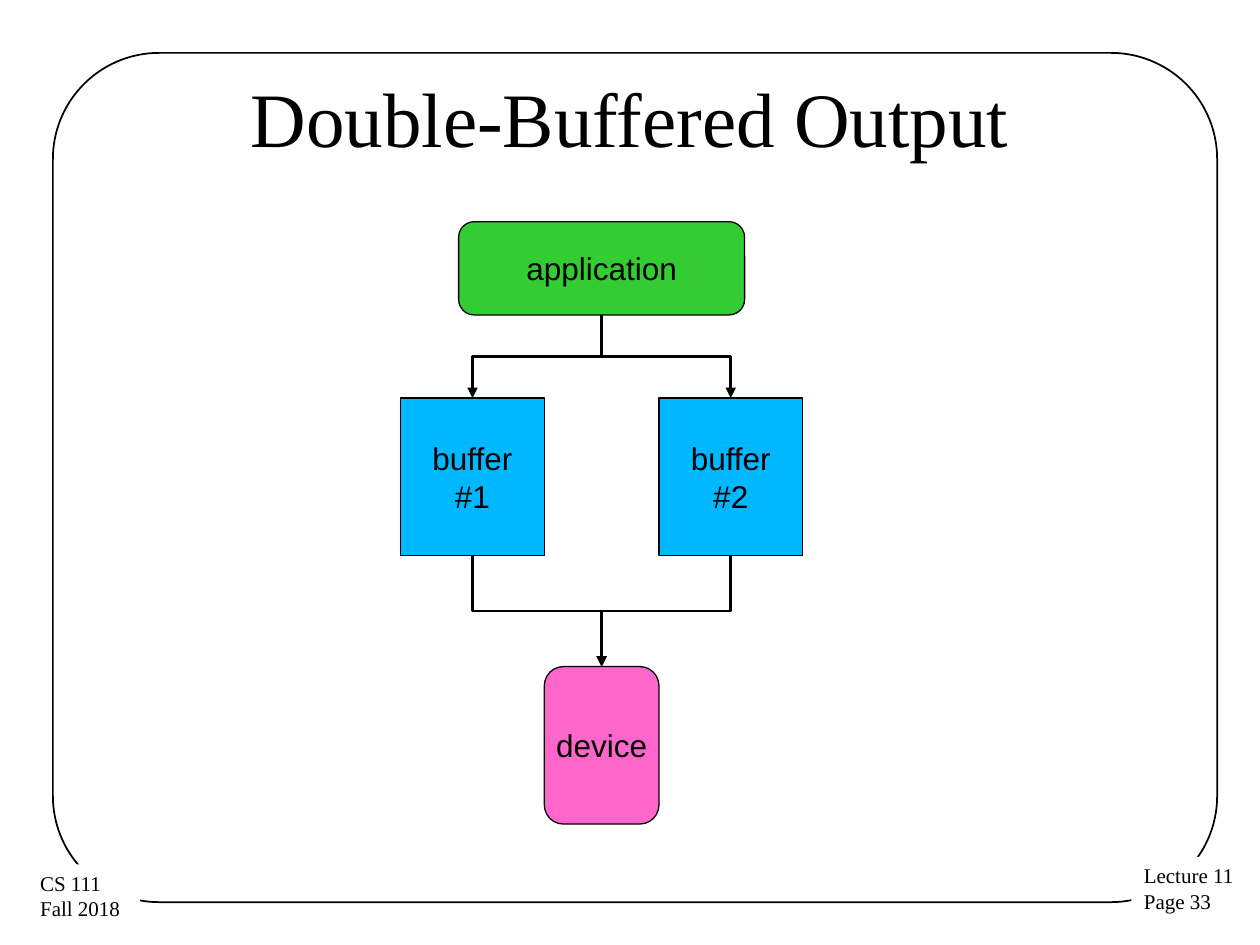
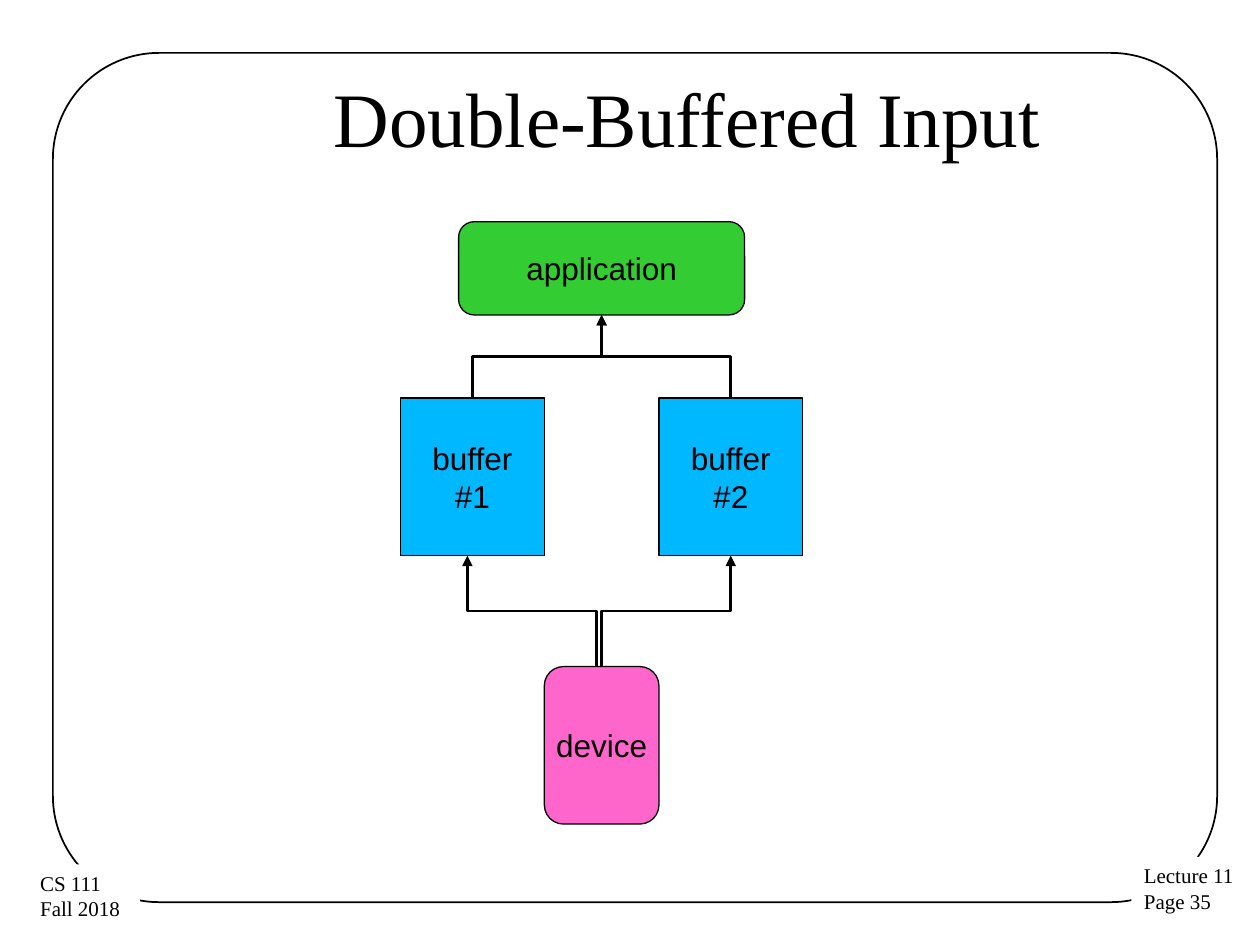
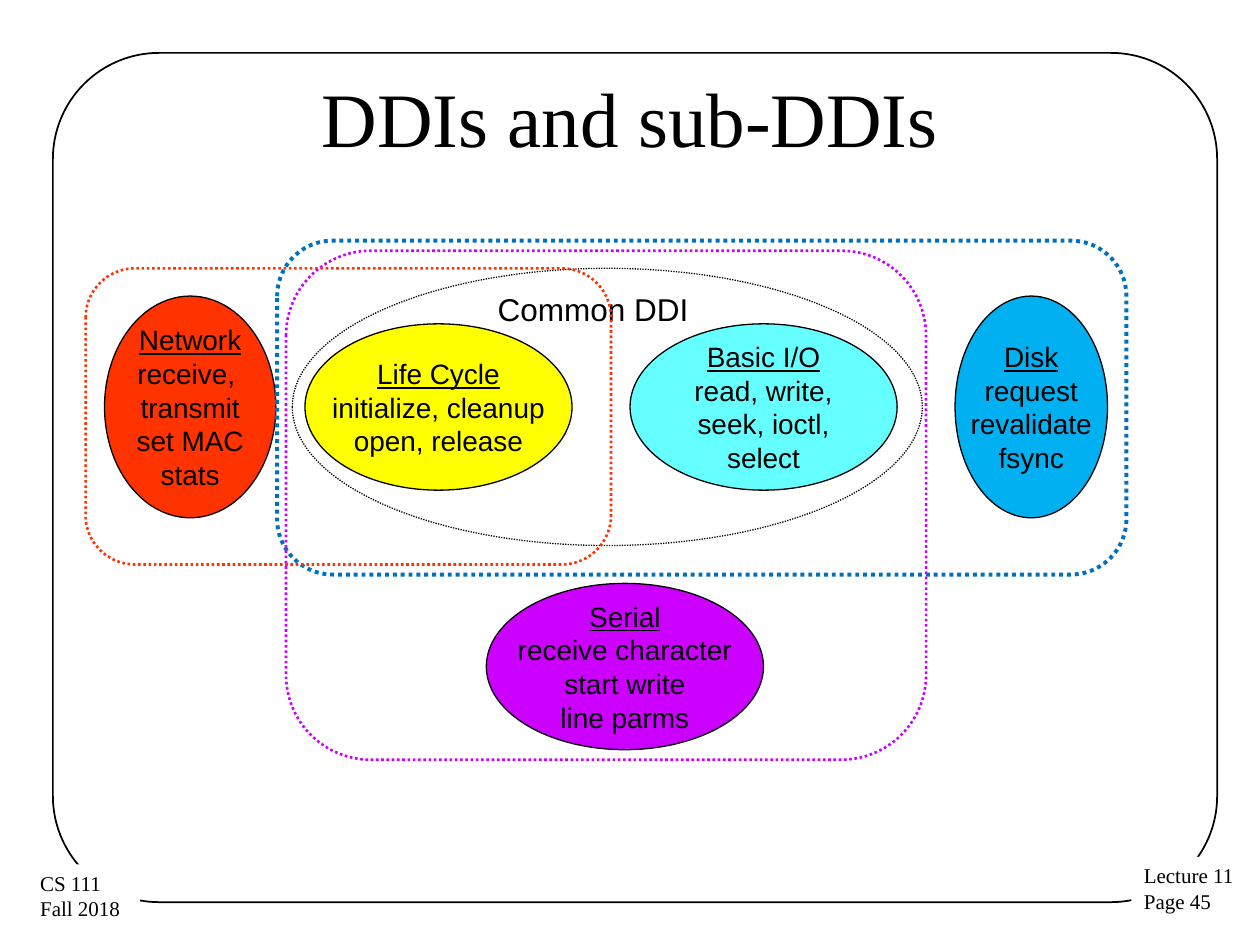
from pptx import Presentation
from pptx import util as u
from pptx.dml.color import RGBColor
from pptx.enum import dml, shapes, text
from pptx.oxml import ns
from pptx.oxml.xmlchemy import OxmlElement

# Shared look
COLORS = {
    "black": "000000", "white": "FFFFFF", "green": "33CC33", "sky": "00B8FF",
    "pink": "FF66CC", "cyan": "66FFFF", "yellow": "FFFF00", "azure": "00B0F0",
    "red": "FF3300", "purple": "CC00FF", "blue": "0070C0",
}
SERIF, SANS = "Times New Roman", "Arial"
RECT = shapes.MSO_SHAPE.RECTANGLE
ROUND = shapes.MSO_SHAPE.ROUNDED_RECTANGLE
OVAL = shapes.MSO_SHAPE.OVAL

# The slide is a grid of 100 columns by 75 rows
COLS, ROWS = 100, 75
WIDTH, HEIGHT = u.Inches(10), u.Inches(7.5)


def grid(*lengths):
    return [u.Emu(int(n * WIDTH / COLS)) for n in lengths]


def rgb(name):
    return RGBColor.from_string(COLORS[name])


def write(tf, lines, size=18, font=SANS, color="black", align="CENTER",
          anchor="MIDDLE", inset=(0.09, 0.04), wrap=False, grow=False,
          heading=False):
    """Fill a text frame with one paragraph a line; a heading is underlined."""
    tf.auto_size = getattr(text.MSO_AUTO_SIZE, "SHAPE_TO_FIT_TEXT" if grow else "NONE")
    tf.word_wrap = wrap
    tf.vertical_anchor = getattr(text.MSO_ANCHOR, anchor)
    tf.margin_left = tf.margin_right = u.Inches(inset[0])
    tf.margin_top = tf.margin_bottom = u.Inches(inset[1])
    for i, line in enumerate(lines):
        p = tf.paragraphs[0] if i == 0 else tf.add_paragraph()
        p.alignment = getattr(text.PP_ALIGN, align)
        r = p.add_run()
        r.text = line
        r.font.name, r.font.size = font, u.Pt(size)
        r.font.color.rgb = rgb(color)
        if heading and i == 0:
            r.font.underline = True


def add_box(s, kind, at, fill=None, line="black", width=0.75, dotted=False,
            corner=None, lines=(), **fmt):
    sp = s.shapes.add_shape(kind, *grid(*at))
    sp.shadow.inherit = False
    if fill:
        sp.fill.solid()
        sp.fill.fore_color.rgb = rgb(fill)
    else:
        sp.fill.background()
    if line:
        sp.line.color.rgb = rgb(line)
        sp.line.width = u.Pt(width)
    else:
        sp.line.fill.background()
    if dotted:
        sp.line.dash_style = dml.MSO_LINE.ROUND_DOT
    if corner:
        sp.adjustments[0] = corner
    if lines:
        write(sp.text_frame, lines, **fmt)
    return sp


def add_elbow(s, start, end, arrow):
    """Down, across, down: a level elbow turned a quarter about its centre."""
    (x1, y1), (x2, y2) = start, end
    mid_x, mid_y = (x1 + x2) / 2, (y1 + y2) / 2
    side = 1 if x2 > x1 else -1
    dx, dy = side * (y2 - y1) / 2, abs(x2 - x1) / 2
    cx = s.shapes.add_connector(
        shapes.MSO_CONNECTOR.ELBOW,
        *grid(mid_x + dx, mid_y - dy, mid_x - dx, mid_y + dy))
    sppr = cx.element.spPr
    turn = 270 if side > 0 else 90
    sppr.find(ns.qn("a:xfrm")).set("rot", str(turn * 60000))
    cx.line.color.rgb = rgb("black")
    cx.line.width = u.Pt(1.5)
    tip = OxmlElement(f"a:{arrow}End")
    tip.set("type", "triangle")
    cx.line._get_or_add_ln().append(tip)
    sppr.append(OxmlElement("a:effectLst"))


def add_slide(prs, title, page, left=5, indent=0):
    """A slide with its title, the rounded frame and both corner notes."""
    s = prs.slides.add_slide(prs.slide_layouts[5])
    sp = s.shapes.title
    sp.left, sp.top, sp.width, sp.height = grid(left, 3, 90, 12.5)
    write(sp.text_frame, [title], size=44, font=SERIF, wrap=True, inset=(0.1, 0.05))
    if indent:
        ppr = sp.text_frame.paragraphs[0]._p.get_or_add_pPr()
        ppr.set("marL", str(grid(indent)[0]))
        ppr.set("indent", "0")

    add_box(s, ROUND, (4.2, 4.2, 92.4, 67.4), width=1, corner=0.125)
    notes = [((89.8, 68, 9.2, 5.1), ["Lecture 11", f"Page {page}"]),
             ((2.2, 68.6, 8.9, 5.1), ["CS 111", "Fall 2018 "])]
    for at, lines in notes:
        add_box(s, RECT, at, fill="white", line=None, lines=lines, size=12,
                font=SERIF, align="LEFT", anchor="TOP", inset=(0.1, 0.05), grow=True)
    return s


def add_buffer_diagram(s, arrow, left_shift=0):
    """Application above two buffers above a device, joined by elbows."""
    axis, step = 47.75, 10.25
    app_top, app_end = 17.6, 25
    buf_top, buf_end = 31.6, 44.1
    dev_top, dev_end = 52.9, 65.4

    def block(kind, mid, top, end, width, fill, *lines):
        add_box(s, kind, (mid - width / 2, top, width, end - top), fill, lines=lines)

    block(ROUND, axis, app_top, app_end, 22.7, "green", "application")
    block(ROUND, axis, dev_top, dev_end, 9.1, "pink", "device")
    for number, side, shift in ((1, -1, left_shift), (2, 1, 0)):
        mid = axis + side * step
        block(RECT, mid, buf_top, buf_end, 11.4, "sky", "buffer", f"#{number}")
        add_elbow(s, (axis, app_end), (mid, buf_top), arrow)
        add_elbow(s, (mid + shift, buf_end), (axis + shift, dev_top), arrow)


def add_ddi_diagram(s):
    # Common interface
    add_box(s, OVAL, (23.2, 21.3, 50, 22), dotted=True)
    label = s.shapes.add_textbox(*grid(38.6, 22.6, 20.5, 3.9))
    write(label.text_frame, ["Common DDI"], align="LEFT", anchor="TOP",
          wrap=True, grow=True)

    # Groups of operations
    groups = [
        ((50, 25.7, 21.2, 13.2), "cyan",
         ["Basic I/O", "read, write,", "seek, ioctl,", "select"]),
        ((24.2, 25.7, 21.2, 13.2), "yellow",
         ["Life Cycle", "initialize, cleanup", "open, release"]),
        ((75.8, 23.5, 12.1, 17.6), "azure",
         ["Disk", "request", "revalidate", "fsync"]),
        ((8.3, 23.5, 13.6, 17.6), "red",
         ["Network", "receive, ", "transmit", "set MAC", "stats"]),
        ((38.6, 46.3, 22, 13.2), "purple",
         ["Serial", "receive character", "start write", "line parms"]),
    ]
    for at, fill, lines in groups:
        add_box(s, OVAL, at, fill, lines=lines, size=16, heading=True)

    # Dotted outlines of the sub-DDIs
    outlines = [((22, 19.1, 67.4, 26.5), "blue", 2.25),
                ((22.7, 19.9, 50.8, 40.4), "purple", 1.5),
                ((6.8, 21.3, 41.7, 23.5), "red", 1.5)]
    for at, line, width in outlines:
        add_box(s, ROUND, at, line=line, width=width, dotted=True)


def main():
    prs = Presentation()
    prs.slide_width, prs.slide_height = WIDTH, HEIGHT
    add_buffer_diagram(add_slide(prs, "Double-Buffered Output", 33), "tail")
    add_buffer_diagram(add_slide(prs, "Double-Buffered Input", 35, left=2.5, indent=14.1),
                       "head", left_shift=-0.4)
    add_ddi_diagram(add_slide(prs, "DDIs and sub-DDIs", 45))
    prs.save("out.pptx")


main()
